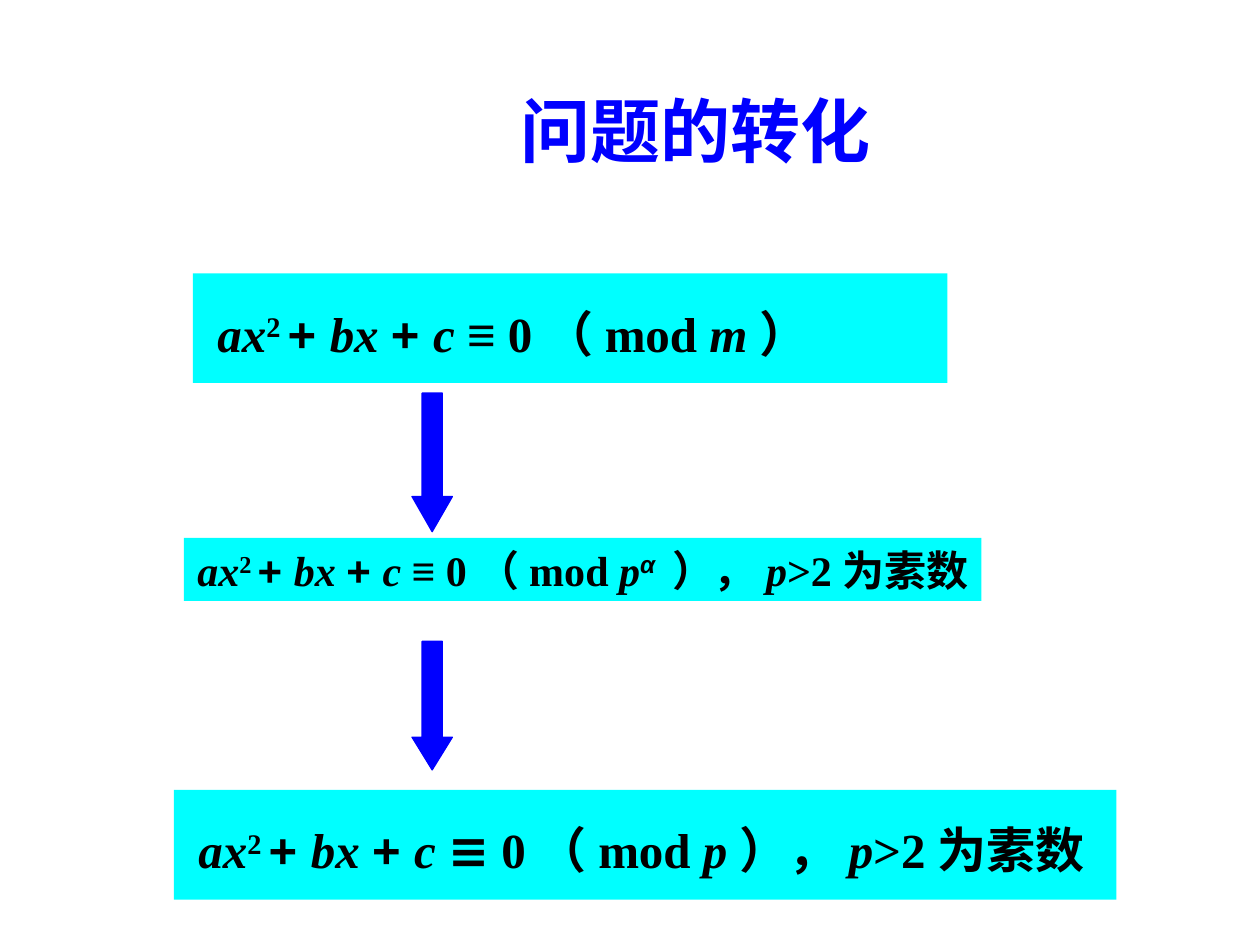
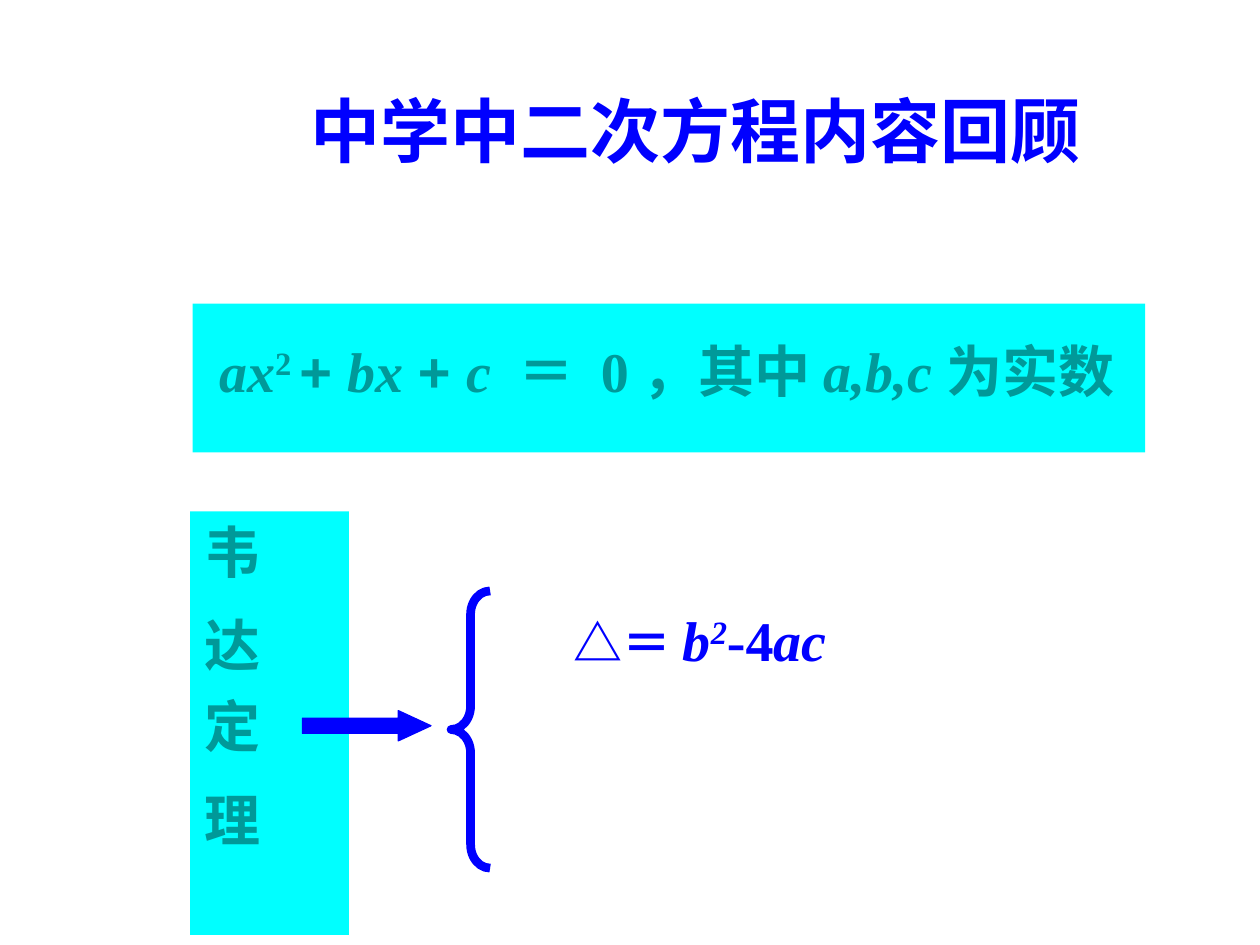
from pptx import Presentation
from pptx.dml.color import RGBColor
from pptx.enum.shapes import MSO_SHAPE
from pptx.enum.text import MSO_ANCHOR, PP_ALIGN
from pptx.util import Inches, Pt

RECT, BRACE = MSO_SHAPE.RECTANGLE, MSO_SHAPE.LEFT_BRACE
DOWN, RIGHT = MSO_SHAPE.DOWN_ARROW, MSO_SHAPE.RIGHT_ARROW
TOP, MIDDLE, BOTTOM = MSO_ANCHOR.TOP, MSO_ANCHOR.MIDDLE, MSO_ANCHOR.BOTTOM
LEFT, CENTER = PP_ALIGN.LEFT, PP_ALIGN.CENTER

COLORS = {"blue": "0000FF", "cyan": "00FFFF", "teal": "009999", "black": "000000"}
SERIF, SANS, SYMBOL = "Times New Roman", "Arial", "Karla"

STYLES = {
    "var": {"name": SERIF, "italic": True},
    "num": {"name": SERIF, "italic": False},
    "op": {"name": SANS, "italic": False},
    "sym": {"name": SYMBOL, "italic": False},
    "sup": {"name": SERIF, "italic": False, "raised": True},
    "varsup": {"name": SERIF, "italic": True, "raised": True},
    "alpha": {"name": SANS, "italic": True, "raised": True},
}

QUADRATIC = [("ax", "var"), ("2 ", "sup"), ("+ ", "op"), ("bx ", "var"), ("+ ", "op")]
INDENTED = [(" ax", "var")] + QUADRATIC[1:] + [("c ", "var")]
PRIME = [("p", "var"), (">2为素数", "num")]
MOD_M = INDENTED + [("≡", "op"), (" 0（mod ", "num"), ("m", "var"), ("）", "num")]
MOD_POWER = QUADRATIC + [("c", "var"), (" ≡ 0（mod ", "num"), ("p", "var"),
                         ("α ", "alpha"), ("），", "num")] + PRIME
MOD_P = INDENTED + [("≡", "sym"), (" 0（mod ", "num"), ("p", "var"),
                    ("），", "num")] + PRIME
REAL = INDENTED + [("＝ 0，其中", "num"), ("a,b,c", "var"), ("为实数", "num")]
DISCRIMINANT = [("△＝", "sym", 28), ("b", "var"), ("2", "varsup"),
                ("-4", "num"), ("ac", "var")]
VIETA = [("韦", "sym"), (" ", "sym", 32, 14), ("达", "sym"), (" ", "sym", 32, 7),
         ("定", "sym"), (" ", "sym", 32, 14), ("理", "sym")]

LINE = {"align": LEFT, "anchor": TOP, "spacing": 1.4, "wrap": True}
LABEL = {"align": CENTER, "anchor": BOTTOM, "spacing": 1.0, "wrap": False}
COLUMN = {**LABEL, "wrap": True, "vert": "eaVert", "insets": (0.05, 0.1, 0.05, 0.1)}

SLIDES = [
    {"title": "问题的转化",
     "boxes": [((1.53, 2.17, 5.99, 0.87), "cyan", MOD_M, 28, "black", LINE),
               ((1.38, 6.27, 7.48, 0.87), "cyan", MOD_P, 28, "black", LINE),
               ((1.46, 4.27, 6.33, 0.5), "cyan", MOD_POWER, 24, "black", LABEL)],
     "arrows": [(DOWN, (3.27, 3.12, 0.32, 1.1), 0.87),
                (DOWN, (3.27, 5.09, 0.32, 1.02), 0.81)]},
    {"title": "中学中二次方程内容回顾",
     "boxes": [((1.53, 2.41, 7.56, 1.18), "cyan", REAL, 32, "teal", LINE),
               ((4.45, 4.54, 2.68, 0.87), None, DISCRIMINANT, 32, "blue", LINE),
               ((1.51, 4.06, 1.26, 3.36), "cyan", VIETA, 32, "teal", COLUMN)],
     "arrows": [(RIGHT, (2.4, 5.64, 1.02, 0.24), 1.08)],
     "brace": (3.58, 4.69, 0.31, 2.2)},
]
TITLE_BOX = (1.26, 0.23, 8.52, 1.6)


def rgb(key):
    return RGBColor.from_string(COLORS[key])


def add_run(p, text, style, size, color, gap=0):
    r = p.add_run()
    r.text = text
    formats = {"size": Pt(size), "bold": True, **STYLES[style]}
    raised = formats.pop("raised", False)
    for key, value in formats.items():
        setattr(r.font, key, value)
    r.font.color.rgb = rgb(color)
    if raised:
        r.font._element.set("baseline", "30000")
    if gap:
        r.font._element.set("spc", str(gap * 100))


def add_shape(slide, kind, box, fill=None, line=None, width=0.75):
    sp = slide.shapes.add_shape(kind, *map(Inches, box))
    sp.shadow.inherit = False
    if fill:
        sp.fill.solid()
        sp.fill.fore_color.rgb = rgb(fill)
    else:
        sp.fill.background()
    if line:
        sp.line.color.rgb = rgb(line)
        sp.line.width = Pt(width)
    else:
        sp.line.fill.background()
    return sp


def add_box(slide, box, fill, runs, size, color, layout):
    if fill:
        sp = add_shape(slide, RECT, box, fill)
    else:
        sp = slide.shapes.add_textbox(*map(Inches, box))
    tf = sp.text_frame
    tf.word_wrap = layout["wrap"]
    tf.vertical_anchor = layout["anchor"]
    insets = layout.get("insets", (0.1, 0.05, 0.1, 0.05))
    for side, inset in zip(("left", "top", "right", "bottom"), insets):
        setattr(tf, f"margin_{side}", Inches(inset))
    if "vert" in layout:
        sp.element.txBody.bodyPr.set("vert", layout["vert"])
    p = tf.paragraphs[0]
    p.alignment = layout["align"]
    p.line_spacing = layout["spacing"]
    for text, style, *extra in runs:
        run_size, gap = (extra + [size, 0][len(extra):])
        add_run(p, text, style, run_size, color, gap)


def add_title(slide, text):
    sp = slide.shapes.title
    sp.left, sp.top, sp.width, sp.height = map(Inches, TITLE_BOX)
    tf = sp.text_frame
    tf.vertical_anchor = MIDDLE
    p = tf.paragraphs[0]
    p.alignment = CENTER
    add_run(p, text, "op", 40, "blue")


def main():
    prs = Presentation()
    prs.slide_width, prs.slide_height = Inches(10), Inches(7.5)
    for content in SLIDES:
        slide = prs.slides.add_slide(prs.slide_layouts[5])
        add_title(slide, content["title"])
        for box in content["boxes"]:
            add_box(slide, *box)
        for kind, box, head in content["arrows"]:
            sp = add_shape(slide, kind, box, "blue", "blue")
            sp.adjustments[0], sp.adjustments[1] = 0.5, head
        if "brace" in content:
            sp = add_shape(slide, BRACE, content["brace"], None, "blue", 5)
            sp.adjustments[0] = 0.6
    prs.save("out.pptx")


if __name__ == "__main__":
    main()
